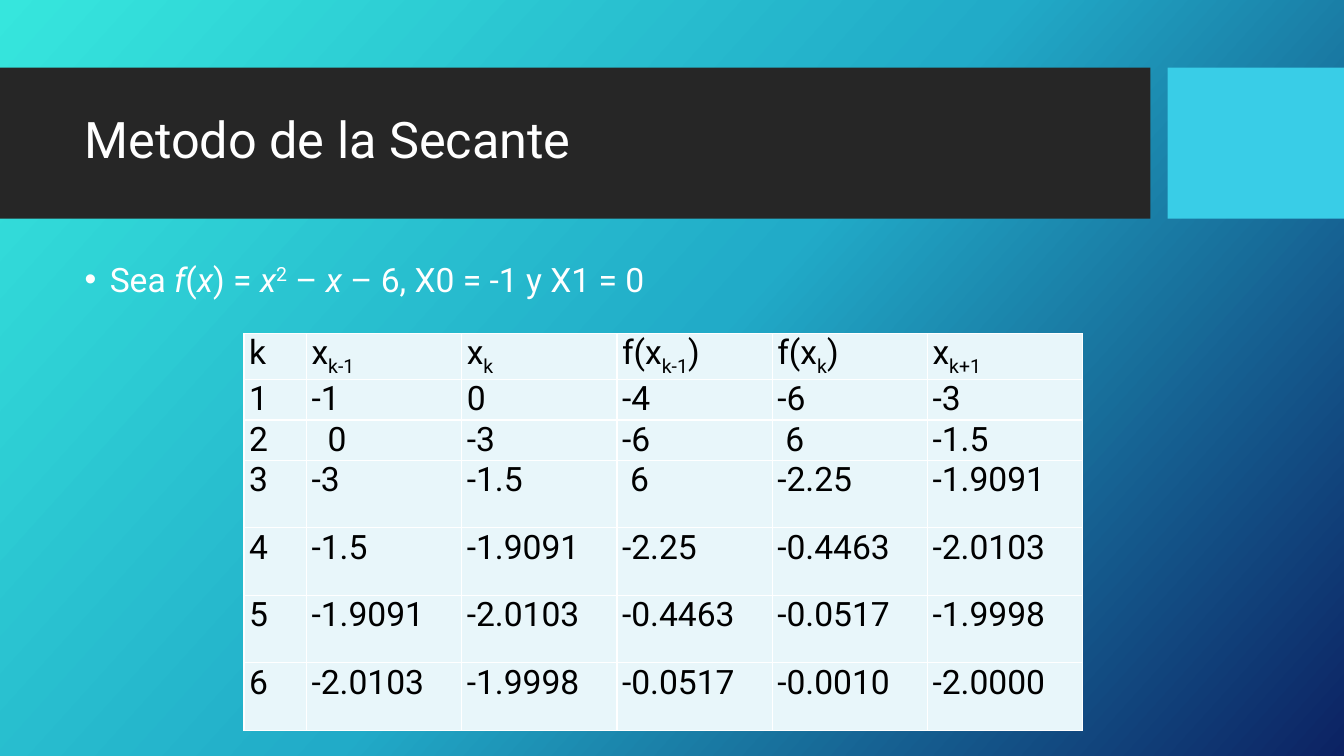
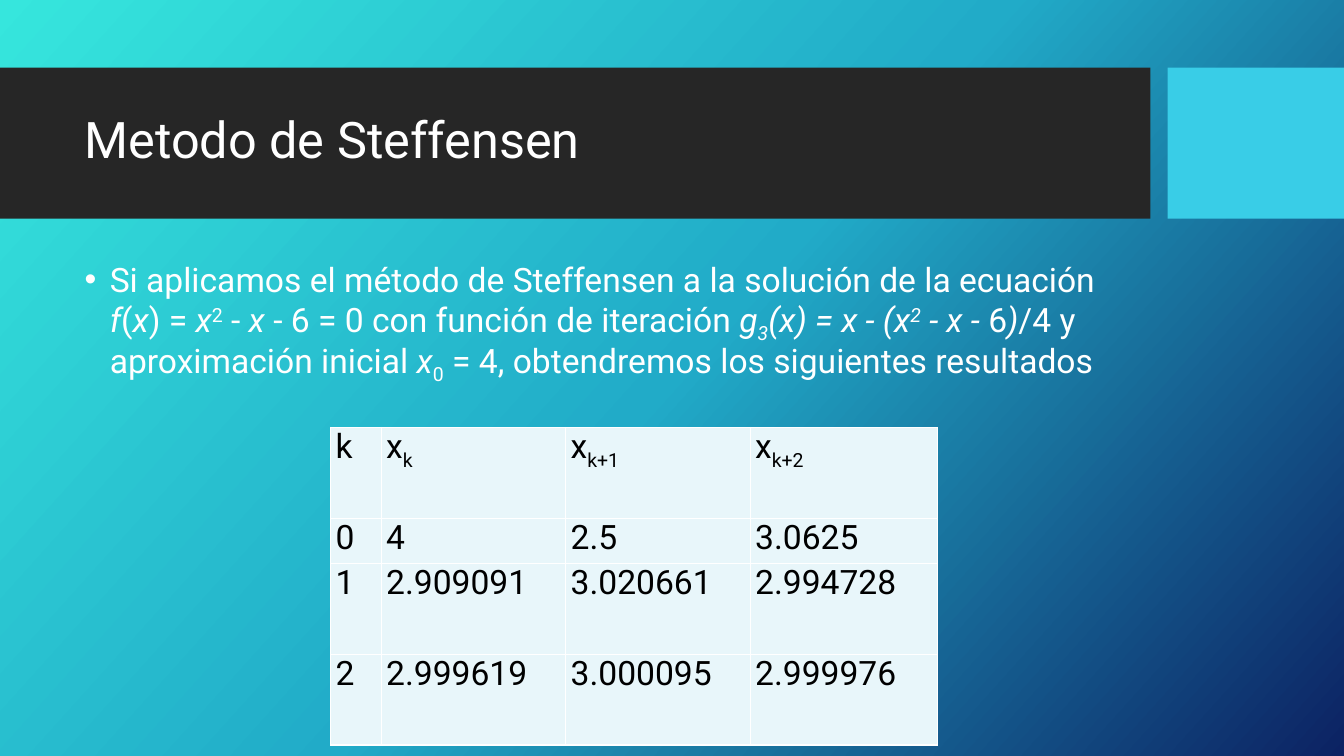
from copy import deepcopy
from typing import NamedTuple

from lxml import etree
from pptx import Presentation
from pptx.dml.color import RGBColor
from pptx.enum.shapes import MSO_SHAPE
from pptx.enum.text import MSO_ANCHOR
from pptx.oxml.ns import qn
from pptx.util import Inches, Pt

RECTANGLE = MSO_SHAPE.RECTANGLE
TOP, MIDDLE = MSO_ANCHOR.TOP, MSO_ANCHOR.MIDDLE

WHITE = RGBColor(0xFF, 0xFF, 0xFF)
BLACK = RGBColor(0x00, 0x00, 0x00)
CHARCOAL = RGBColor(0x26, 0x26, 0x26)
CYAN = RGBColor(0x39, 0xCD, 0xE7)
PALE_BLUE = RGBColor(0xE8, 0xF6, 0xFA)
BACKDROP = (
    (0, RGBColor(0x36, 0xE6, 0xDD)),
    (0.5, RGBColor(0x21, 0xAB, 0xC8)),
    (1, RGBColor(0x0C, 0x22, 0x63)),
)
BACKDROP_ANGLE = 42

FONT = "Roboto"
TITLE_SIZE, TEXT_SIZE = 36, 24
BAND_TOP, BAND_HEIGHT = 0.67, 1.5
TEXT_LEFT, TEXT_WIDTH = 0.74, 10.51
CELL_INSET, DIGIT_INDENT = 0.05, 0.08


class Piece(NamedTuple):
    text: str
    italic: bool = False
    baseline: int = 0


def ital(text):
    return Piece(text, italic=True)


def sup(text, italic=False):
    return Piece(text, italic, 30000)


def sub(text, italic=False):
    return Piece(text, italic, -25000)


X_SQUARED = (ital("x"), sup("2"))
F_OF_X = (ital("f"), "(", ital("x"), ") = ", *X_SQUARED)

SECANT_STATEMENT = ("Sea ", *F_OF_X, " – ", ital("x"), " – 6, X0 = -1 y X1 = 0")
SECANT_ROWS = (
    ("k", ("x", sub("k-1")), ("x", sub("k")), ("f(x", sub("k-1"), ")"),
     ("f(x", sub("k"), ")"), ("x", sub("k+1"))),
    ("1", "-1", "0", "-4", "-6", "-3"),
    ("2", "0", "-3", "-6", "6", "-1.5"),
    ("3", "-3", "-1.5", "6", "-2.25", "-1.9091"),
    ("4", "-1.5", "-1.9091", "-2.25", "-0.4463", "-2.0103"),
    ("5", "-1.9091", "-2.0103", "-0.4463", "-0.0517", "-1.9998"),
    ("6", "-2.0103", "-1.9998", "-0.0517", "-0.0010", "-2.0000"),
)
SECANT_INDENTS = {(2, 1): 2, (2, 4): 1, (3, 3): 1}

STEFFENSEN_STATEMENT = (
    "Si aplicamos el método de Steffensen a la solución de la ecuación ",
    *F_OF_X, " - ", ital("x"), " - 6 = 0 con función de iteración ",
    ital("g"), sub("3", italic=True), ital("(x) = x - (x"),
    sup("2", italic=True), ital(" - x - "), "6", ital(")"),
    "/4 y aproximación inicial ", ital("x"), sub("0"),
    " = 4, obtendremos los siguientes resultados",
)
STEFFENSEN_ROWS = (
    ("k", ("x", sub("k")), ("x", sub("k+1")), ("x", sub("k+2"))),
    ("0", "4", "2.5", "3.0625"),
    ("1", "2.909091", "3.020661", "2.994728"),
    ("2", "2.999619", "3.000095", "2.999976"),
)


def write(paragraph, content, size, color):
    font = paragraph.font
    font.name, font.size, font.color.rgb = FONT, Pt(size), color
    pieces = (content,) if isinstance(content, str) else content
    for piece in pieces:
        piece = Piece(piece) if isinstance(piece, str) else piece
        run = paragraph.add_run()
        run.text = piece.text
        if piece.italic:
            run.font.italic = True
        if piece.baseline:
            run._r.get_or_add_rPr().set("baseline", str(piece.baseline))


def paint_backdrop(slide):
    fill = slide.background.fill
    fill.gradient()
    fill.gradient_angle = 360 - BACKDROP_ANGLE
    stop_list = slide.element.find(".//" + qn("a:gsLst"))
    stop_list.append(deepcopy(stop_list[0]))
    for stop, (position, color) in zip(fill.gradient_stops, BACKDROP):
        stop.position = position
        stop.color.rgb = color


def add_band(slide, left, width, color):
    band = slide.shapes.add_shape(
        RECTANGLE, Inches(left), Inches(BAND_TOP), Inches(width), Inches(BAND_HEIGHT))
    band.shadow.inherit = False
    band.fill.solid()
    band.fill.fore_color.rgb = color
    band.line.fill.background()


def add_text(slide, top, height, anchor):
    frame = slide.shapes.add_textbox(
        Inches(TEXT_LEFT), Inches(top), Inches(TEXT_WIDTH), Inches(height)).text_frame
    frame.word_wrap = True
    frame.vertical_anchor = anchor
    paragraph = frame.paragraphs[0]
    paragraph.line_spacing = 0.9
    return paragraph


def add_statement(slide, content):
    paragraph = add_text(slide, 2.56, 3.94, TOP)
    paragraph.space_before = Pt(10)
    properties = paragraph._p.get_or_add_pPr()
    properties.set("marL", str(Inches(0.25)))
    properties.set("indent", str(Inches(-0.25)))
    typeface = etree.SubElement(properties, qn("a:buFont"))
    typeface.set("typeface", "Arial")
    etree.SubElement(properties, qn("a:buChar")).set("char", "•")
    write(paragraph, content, TEXT_SIZE, WHITE)


def add_borders(cell):
    properties = cell._tc.get_or_add_tcPr()
    for side in ("lnL", "lnR", "lnT", "lnB"):
        border = etree.SubElement(properties, qn("a:" + side))
        border.set("w", str(Pt(1)))
        solid = etree.SubElement(border, qn("a:solidFill"))
        etree.SubElement(solid, qn("a:srgbClr")).set("val", str(WHITE))


def add_results(slide, left, top, widths, heights, rows, indents):
    table = slide.shapes.add_table(
        len(rows), len(widths), Inches(left), Inches(top),
        Inches(sum(widths)), Inches(sum(heights))).table
    table.first_row = table.horz_banding = False
    for column, width in zip(table.columns, widths):
        column.width = Inches(width)
    for row, height in zip(table.rows, heights):
        row.height = Inches(height)
    for r, values in enumerate(rows):
        for c, value in enumerate(values):
            cell = table.cell(r, c)
            add_borders(cell)
            cell.fill.solid()
            cell.fill.fore_color.rgb = PALE_BLUE
            cell.margin_left = Inches(CELL_INSET + DIGIT_INDENT * indents.get((r, c), 0))
            cell.margin_right = Inches(CELL_INSET)
            cell.margin_top = cell.margin_bottom = 0
            write(cell.text_frame.paragraphs[0], value, TEXT_SIZE, BLACK)


def add_method_slide(deck, title, statement):
    slide = deck.slides.add_slide(deck.slide_layouts[6])
    paint_backdrop(slide)
    add_band(slide, 0, 11.41, CHARCOAL)
    add_band(slide, 11.58, 1.75, CYAN)
    write(add_text(slide, 0.82, 1.18, MIDDLE), title, TITLE_SIZE, WHITE)
    add_statement(slide, statement)
    return slide


def main():
    deck = Presentation()
    deck.slide_width, deck.slide_height = Inches(13.33), Inches(7.5)

    secant = add_method_slide(deck, "Metodo de la Secante", SECANT_STATEMENT)
    add_results(secant, 2.42, 3.31, [0.62] + [1.54] * 5, [0.33] * 3 + [0.67] * 4,
                SECANT_ROWS, SECANT_INDENTS)

    steffensen = add_method_slide(deck, "Metodo de Steffensen", STEFFENSEN_STATEMENT)
    add_results(steffensen, 3.28, 4.24, [0.5, 1.83, 1.83, 1.86], [0.9, 0.45, 0.9, 0.9],
                STEFFENSEN_ROWS, {})

    deck.save("out.pptx")


if __name__ == "__main__":
    main()
